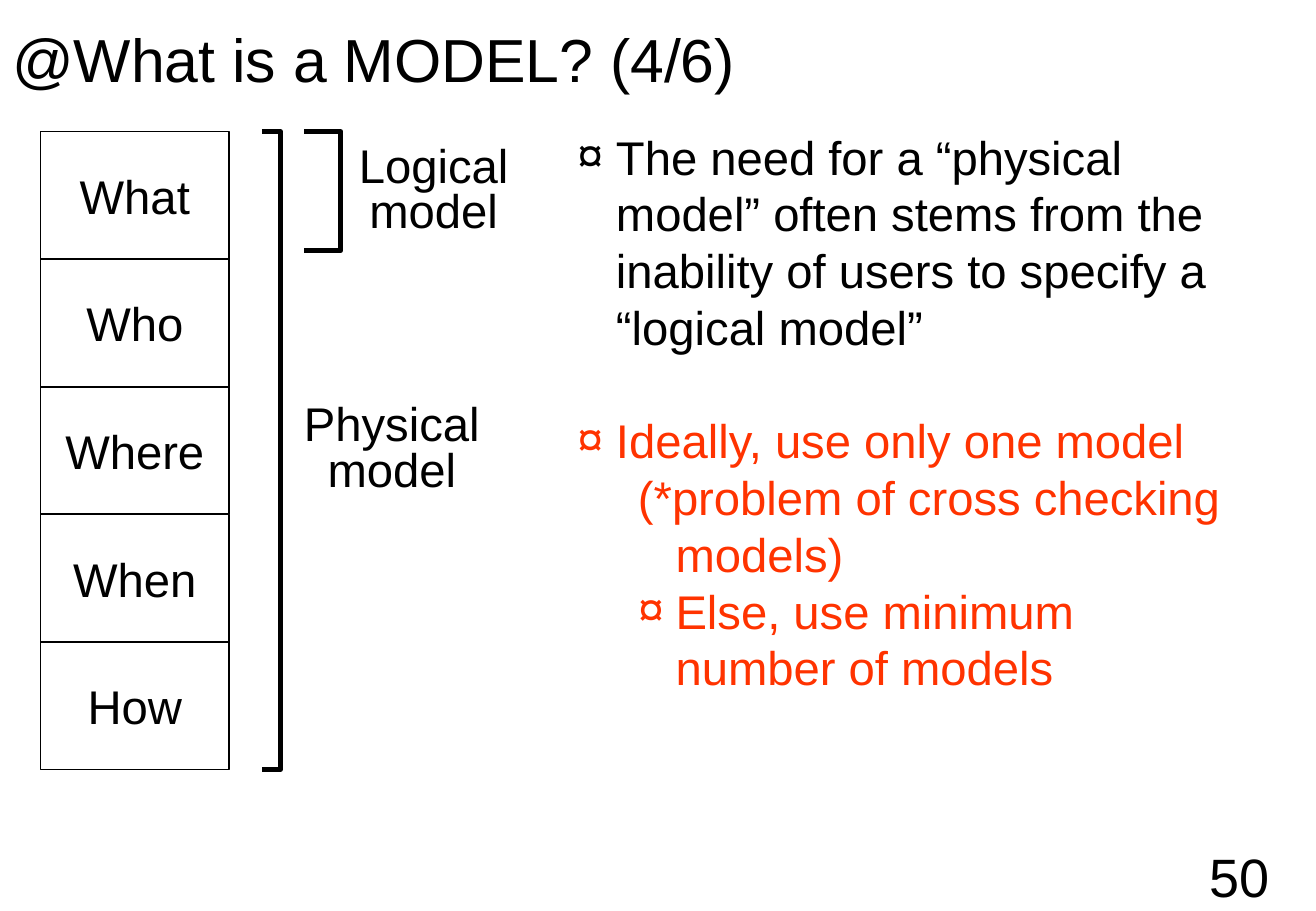
from lxml import etree
from pptx import Presentation
from pptx.dml.color import RGBColor
from pptx.enum import shapes, text
from pptx.oxml import ns
from pptx.util import Pt

BLACK = RGBColor(0, 0, 0)
RED = RGBColor(0xFF, 0x33, 0)
MID = text.MSO_ANCHOR.MIDDLE
TOP = text.MSO_ANCHOR.TOP
CENTER = text.PP_ALIGN.CENTER
LEFT = text.PP_ALIGN.LEFT
PITCH = 33.65
STEPS = ["What", "Who", "Where", "When", "How"]
POINTS = [
    ("The need for a “physical model” often stems from the inability of users "
     "to specify a “logical model”", BLACK, 0, True, 0),
    ("Ideally, use only one model", RED, 0, True, PITCH),
    ("(*problem of cross checking models)", RED, 1, False, 0),
    ("Else, use minimum number of models", RED, 1, True, 0),
]
HANG = [(23, -23), (58.3, -22.3)]


def apply(item, form):
    for key, val in form.items():
        setattr(item, key, val)


def style(para, size=28, color=BLACK):
    apply(para.font, {"size": Pt(size), "name": "Arial"})
    para.font.color.rgb = color


def frame(shape, side=0, wrap=False, anchor=MID):
    body = shape.text_frame
    apply(body, {"margin_left": Pt(side), "margin_right": Pt(side),
                 "margin_top": Pt(3.6), "margin_bottom": Pt(3.6),
                 "word_wrap": wrap, "vertical_anchor": anchor})
    return body


def write(shape, lines, size=28, align=CENTER, gap=None, **form):
    body = frame(shape, **form)
    for num, line in enumerate(lines):
        para = body.add_paragraph() if num else body.paragraphs[0]
        apply(para, {"text": line, "alignment": align})
        if gap:
            para.line_spacing = Pt(gap)
        style(para, size)


def add_box(slide, box):
    return slide.shapes.add_textbox(*map(Pt, box))


def add_title(slide, box):
    write(add_box(slide, box), ["@What is a MODEL? (4/6)"], 36, LEFT,
          side=7.2, wrap=True)


def add_page(slide, box):
    write(add_box(slide, box), ["50"], 32, side=7.2)


def add_steps(slide, box):
    left, top, width, height = box
    row = height / len(STEPS)
    for num, step in enumerate(STEPS):
        cell = slide.shapes.add_shape(
            shapes.MSO_SHAPE.RECTANGLE,
            *map(Pt, (left, top + num * row, width, row)))
        cell.shadow.inherit = False
        cell.fill.background()
        cell.line.color.rgb = BLACK
        cell.line.width = Pt(1)
        write(cell, [step])


def add_brace(slide, box, word, label):
    left, top, width, height = box
    right, end = left + width, top + height
    path = slide.shapes.build_freeform(Pt(left), Pt(top))
    path.add_line_segments(
        [(Pt(x), Pt(y)) for x, y in [(right, top), (right, end), (left, end)]],
        close=False)
    brace = path.convert_to_shape()
    brace.shadow.inherit = False
    brace.fill.background()
    brace.line.color.rgb = BLACK
    brace.line.width = Pt(3)
    write(add_box(slide, label), [word, "model"], gap=0.8 * PITCH)


def add_mark(para, color):
    props = para._p.get_or_add_pPr()
    tint = etree.SubElement(props, ns.qn("a:buClr"))
    etree.SubElement(tint, ns.qn("a:srgbClr"), val=str(color))
    etree.SubElement(props, ns.qn("a:buFont"), typeface="Arial")
    etree.SubElement(props, ns.qn("a:buChar"), char="¤")


def add_points(slide, box):
    body = frame(add_box(slide, box), wrap=True, anchor=TOP)
    for num, (line, color, level, mark, before) in enumerate(POINTS):
        para = body.add_paragraph() if num else body.paragraphs[0]
        apply(para, {"text": line, "level": level, "line_spacing": Pt(PITCH)})
        if before:
            para.space_before = Pt(before)
        props = para._p.get_or_add_pPr()
        for key, val in zip(("marL", "indent"), HANG[level]):
            props.set(key, str(int(Pt(val))))
        if mark:
            add_mark(para, color)
        style(para, color=color)


def main():
    deck = Presentation()
    apply(deck, {"slide_width": Pt(780.13), "slide_height": Pt(540)})
    slide = deck.slides.add_slide(deck.slide_layouts[6])
    add_page(slide, (690, 498.3, 90, 42))
    add_title(slide, (0.2, 0, 780, 69))
    add_steps(slide, (24, 78, 111.7, 378.2))
    add_brace(slide, (155.2, 78, 11, 378.2), "Physical",
              (176.5, 229.4, 111.5, 76))
    add_brace(slide, (180.3, 78, 21.7, 70.5), "Logical", (202, 78.4, 110, 72))
    add_points(slide, (342.2, 72.2, 390, 408))
    deck.save("out.pptx")


if __name__ == "__main__":
    main()
